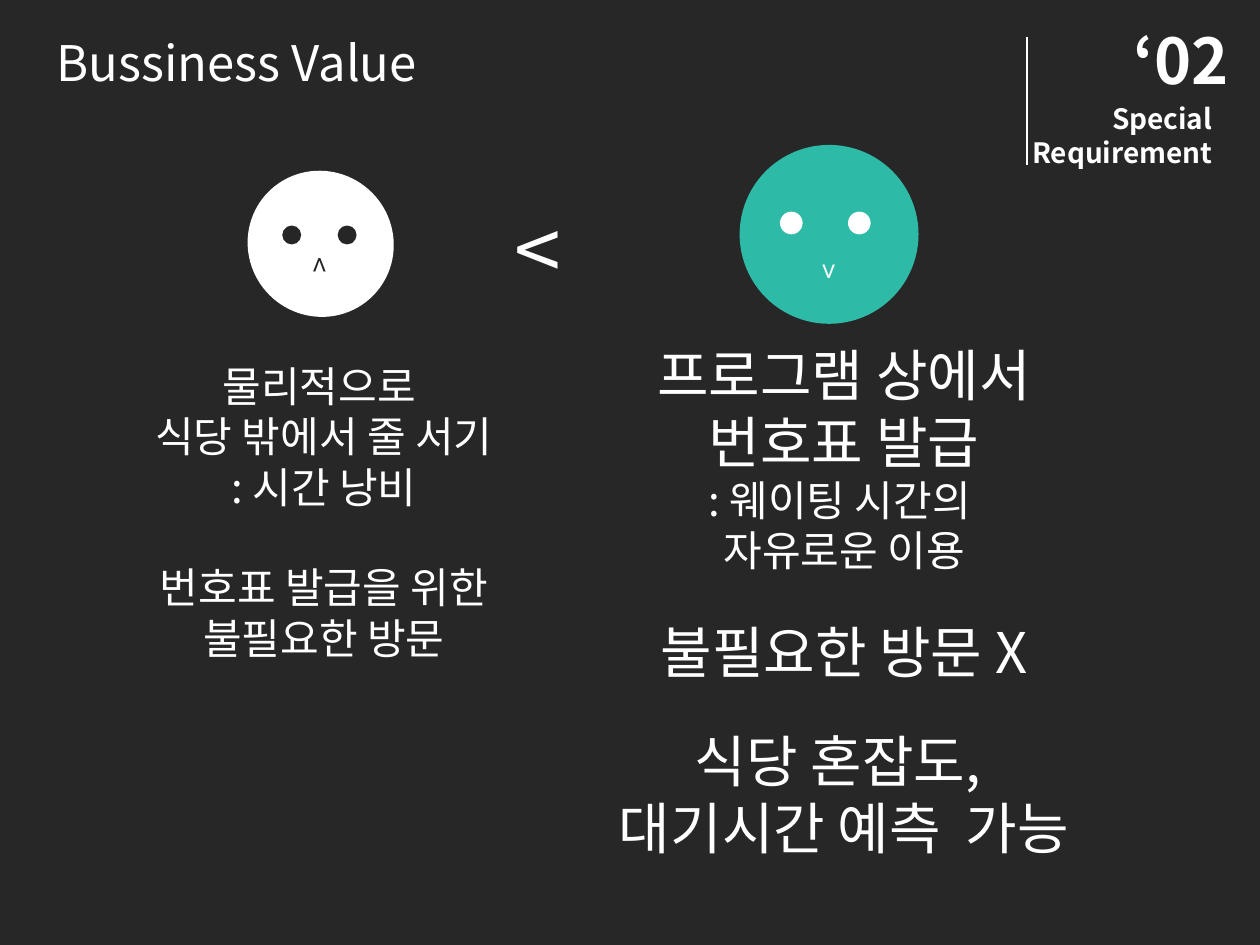
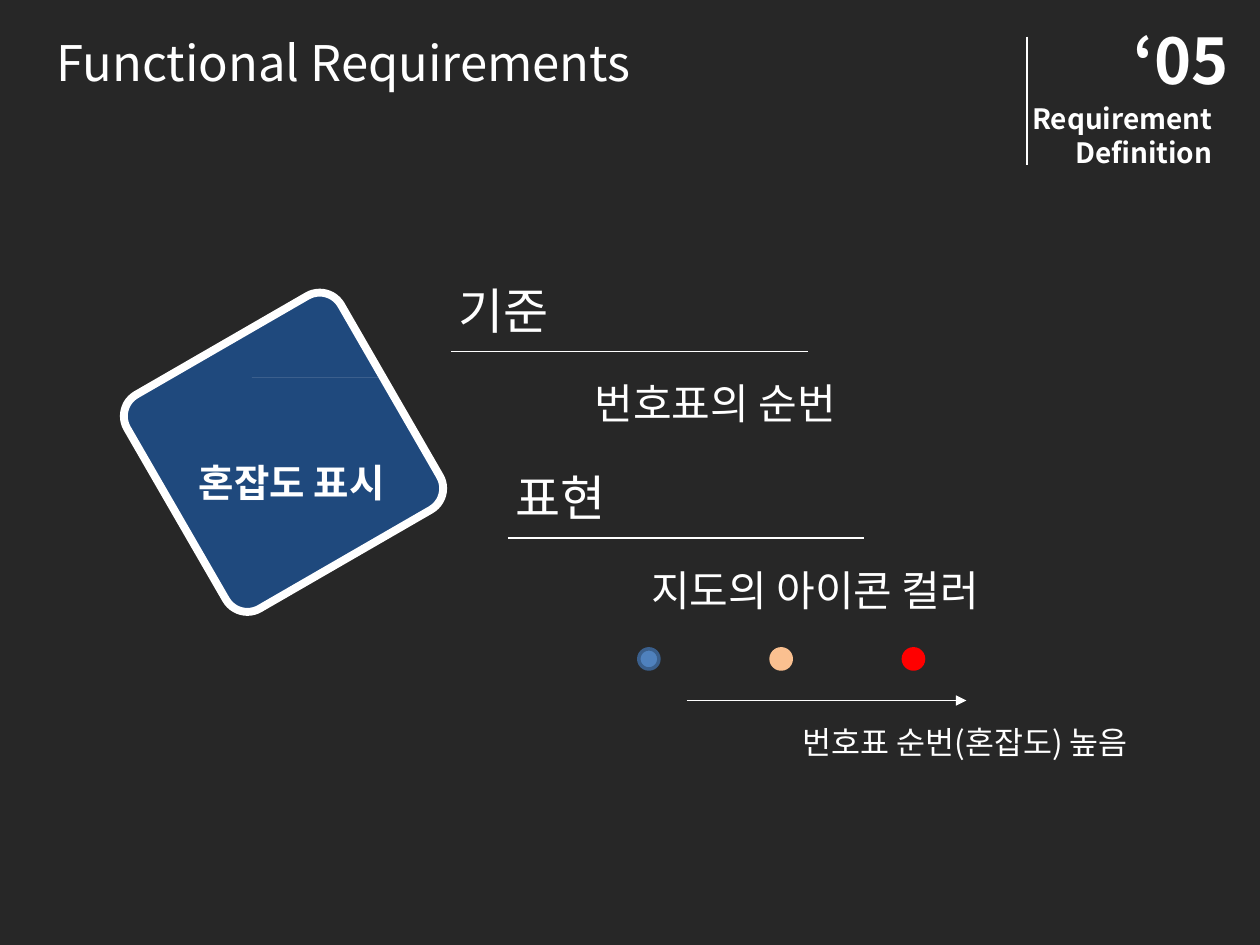
import math
import lxml.etree
import pptx
import pptx.dml.color
import pptx.enum.shapes
import pptx.enum.text
import pptx.oxml.ns
import pptx.util

COLORS = {
    "night": "272727", "ink": "262626", "white": "FFFFFF", "teal": "2DBAA7",
    "navy": "1F497D", "blue": "4F81BD", "blue_rim": "3A5F8C",
    "peach": "FAC090", "red": "FF0000",
}
FONT = "Noto Sans CJK KR"
SLIDE_SIZE = 10, 7.5
LINE_HEIGHT = 1.2
ALIGN = pptx.enum.text.PP_ALIGN
SHAPE = pptx.enum.shapes.MSO_SHAPE

HEADERS = {
    "value": ("Bussiness Value", "‘02", ("Special", "Requirement")),
    "functions": ("Functional Requirements", "‘05", ("Requirement", "Definition")),
}

FACES = [
    {"head": (1.97, 1.35, 1.15, 1.17), "skin": "white", "features": "ink",
     "eyes": (2.24, 2.68), "eye_top": 1.79, "eye_size": 0.15,
     "mouth": (1.93, 2.05, 0.9, 0.69), "mouth_turn": 90},
    {"head": (5.87, 1.15, 1.42, 1.42), "skin": "teal", "features": "white",
     "eyes": (6.19, 6.73), "eye_top": 1.68, "eye_size": 0.18,
     "mouth": (6.03, 1.59, 1.09, 0.37), "mouth_turn": 270},
]
QUEUE_OUTSIDE = [
    ("물리적으로 ", 24, 0), ("식당 밖에서 줄 서기", 24, 0), (": 시간 낭비", 24, 0),
    ("번호표 발급을 위한", 24, 24), ("불필요한 방문", 24, 0),
]
QUEUE_IN_APP = [
    ("프로그램 상에서", 32, 0), ("번호표 발급", 32, 0),
    (": 웨이팅 시간의 ", 24, 0), ("자유로운 이용", 24, 0),
    ("불필요한 방문 X", 32, 20),
    ("식당 혼잡도, ", 32, 20), ("대기시간 예측  가능", 32, 0),
]

CRITERIA = [("기준", "번호표의 순번"), ("표현", "지도의 아이콘 컬러")]
CRITERIA_START = 3.54, 2.18
CRITERIA_STEP = 0.45, 1.48
LEVELS = [("blue", "blue_rim"), ("peach", "peach"), ("red", "red")]


def rgb(name):
    return pptx.dml.color.RGBColor.from_string(COLORS[name])


def inches(*lengths):
    return [pptx.util.Inches(length) for length in lengths]


def write(box, lines, color="white", bold=False, align=ALIGN.LEFT, spacing=1):
    frame = box.text_frame
    frame.word_wrap = True
    frame.auto_size = pptx.enum.text.MSO_AUTO_SIZE.NONE
    frame.vertical_anchor = pptx.enum.text.MSO_ANCHOR.TOP
    for index, (words, size, gap) in enumerate(lines):
        paragraph = frame.add_paragraph() if index else frame.paragraphs[0]
        paragraph.alignment = align
        paragraph.line_spacing = pptx.util.Pt(round(size * LINE_HEIGHT * spacing, 1))
        paragraph.space_before = pptx.util.Pt(gap * LINE_HEIGHT)
        run = paragraph.add_run()
        run.text = words
        run.font.size = pptx.util.Pt(size)
        run.font.bold = bold
        run.font.color.rgb = rgb(color)
        run.font.name = FONT
        east_asian = lxml.etree.SubElement(run.font._element, pptx.oxml.ns.qn("a:ea"))
        east_asian.set("typeface", FONT)


def add_text(shapes, place, lines, **style):
    box = shapes.add_textbox(*inches(*place))
    write(box, lines, **style)
    return box


def paint(shape, fill, line=None, width=0):
    shape.shadow.inherit = False
    shape.fill.solid()
    shape.fill.fore_color.rgb = rgb(fill)
    if line:
        shape.line.color.rgb = rgb(line)
        shape.line.width = pptx.util.Pt(width)
    else:
        shape.line.fill.background()
    return shape


def add_shape(shapes, kind, place, fill, line=None, width=0):
    return paint(shapes.add_shape(kind, *inches(*place)), fill, line, width)


def add_line(slide, start, end, arrow=False):
    line = slide.shapes.add_connector(
        pptx.enum.shapes.MSO_CONNECTOR.STRAIGHT, *inches(*start, *end))
    line.line.color.rgb = rgb("white")
    line.line.width = pptx.util.Pt(0.75)
    if arrow:
        tail = lxml.etree.SubElement(line.line._get_or_add_ln(), pptx.oxml.ns.qn("a:tailEnd"))
        tail.set("type", "triangle")
    lxml.etree.SubElement(line._element.spPr, pptx.oxml.ns.qn("a:effectLst"))


def add_slide(deck, header):
    title, number, chapter = header
    slide = deck.slides.add_slide(deck.slide_layouts[5])
    heading = slide.shapes.title
    heading.left, heading.top, heading.width, heading.height = inches(0.35, 0.21, 5.28, 0.56)
    write(heading, [(title, 28, 0)])
    add_text(slide.shapes, (8.9, 0.12, 1.14, 0.71), [(number, 36, 0)], bold=True)
    add_text(slide.shapes, (7.83, 0.76, 1.89, 0.63), [(word, 16, 0) for word in chapter],
             bold=True, align=ALIGN.RIGHT)
    add_line(slide, (8.15, 0.29), (8.15, 1.31))
    return slide


def add_face(slide, face):
    parts = slide.shapes.add_group_shape().shapes
    size = face["eye_size"]
    head = add_shape(parts, SHAPE.OVAL, face["head"], face["skin"])
    head.rotation = 315
    for left in face["eyes"]:
        add_shape(parts, SHAPE.OVAL, (left, face["eye_top"], size, size), face["features"])
    mouth = add_text(parts, face["mouth"], [("<", 16, 0)], color=face["features"])
    mouth.rotation = face["mouth_turn"]


def rounded_outline(left, top, width, height, radius):
    corners = [(left + width - radius, top + height - radius), (left + radius, top + height - radius),
               (left + radius, top + radius), (left + width - radius, top + radius)]
    points = []
    for quarter, (x, y) in enumerate(corners):
        for step in range(5):
            angle = math.pi / 2 * (quarter + step / 4)
            points.append((x + radius * math.cos(angle), y + radius * math.sin(angle)))
    return points


def add_phone(slide):
    body, *openings = [
        rounded_outline(2.25, 2.86, 0.27, 0.44, 0.03),
        rounded_outline(2.27, 2.91, 0.22, 0.33, 0),
        rounded_outline(2.37, 3.26, 0.03, 0.03, 0.015),
        rounded_outline(2.35, 2.88, 0.07, 0.01, 0.005),
    ]
    outline = slide.shapes.build_freeform(*body[0], scale=pptx.util.Inches(1))
    outline.add_line_segments(body[1:], close=True)
    for opening in openings:
        outline.move_to(*opening[0])
        outline.add_line_segments(opening[1:], close=True)
    paint(outline.convert_to_shape(), "white")


def build_value(deck):
    slide = add_slide(deck, HEADERS["value"])
    add_text(slide.shapes, (3.76, 1.52, 1.02, 0.91), [("<", 48, 0)], align=ALIGN.CENTER)
    for face in FACES:
        add_face(slide, face)
    add_text(slide.shapes, (0.83, 2.81, 3.48, 2.52), QUEUE_OUTSIDE, align=ALIGN.CENTER)
    add_text(slide.shapes, (4.06, 2.65, 5.28, 4.27), QUEUE_IN_APP, align=ALIGN.CENTER)


def build_functions(deck):
    slide = add_slide(deck, HEADERS["functions"])
    tile = add_shape(slide.shapes, SHAPE.ROUNDED_RECTANGLE, (1.27, 2.61, 1.96, 1.96),
                     "navy", "white", 4.5)
    tile.adjustments[0] = 0.1
    tile.rotation = 60
    add_phone(slide)
    add_text(slide.shapes, (1.36, 3.41, 1.91, 0.58), [("혼잡도 표시", 22, 0)],
             bold=True, align=ALIGN.CENTER, spacing=1.5)

    for index, (criterion, detail) in enumerate(CRITERIA):
        left, top = (start + index * step for start, step in zip(CRITERIA_START, CRITERIA_STEP))
        add_text(slide.shapes, (left, top, 4.41, 0.57), [(criterion, 28, 0)])
        add_line(slide, (left + 0.04, top + 0.61), (left + 2.87, top + 0.61))
        add_text(slide.shapes, (left + 1.08, top + 0.53, 8.02, 0.66), [(detail, 24, 0)],
                 spacing=1.6)

    for index, (fill, rim) in enumerate(LEVELS):
        add_shape(slide.shapes, SHAPE.OVAL, (5.07 + index * 1.05, 5.15, 0.16, 0.16), fill, rim, 2)
    add_line(slide, (5.45, 5.56), (7.67, 5.56), arrow=True)
    add_text(slide.shapes, (6.27, 5.51, 8.02, 0.52), [("번호표 순번(혼잡도) 높음", 18, 0)],
             spacing=1.6)


def main():
    deck = pptx.Presentation()
    deck.slide_width, deck.slide_height = inches(*SLIDE_SIZE)
    backdrop = deck.slide_master.background.fill
    backdrop.solid()
    backdrop.fore_color.rgb = rgb("night")
    build_value(deck)
    build_functions(deck)
    deck.save("out.pptx")


if __name__ == "__main__":
    main()
